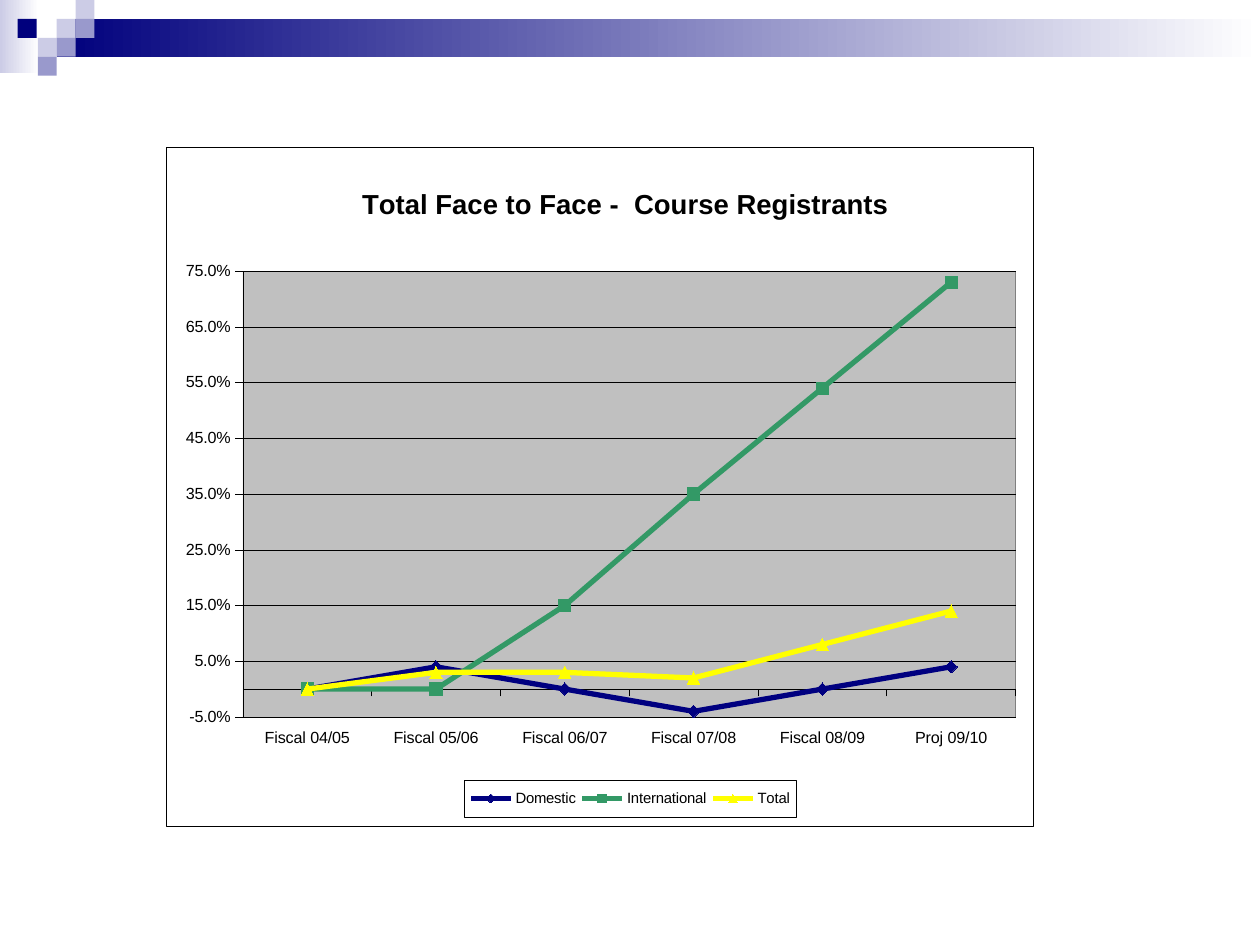
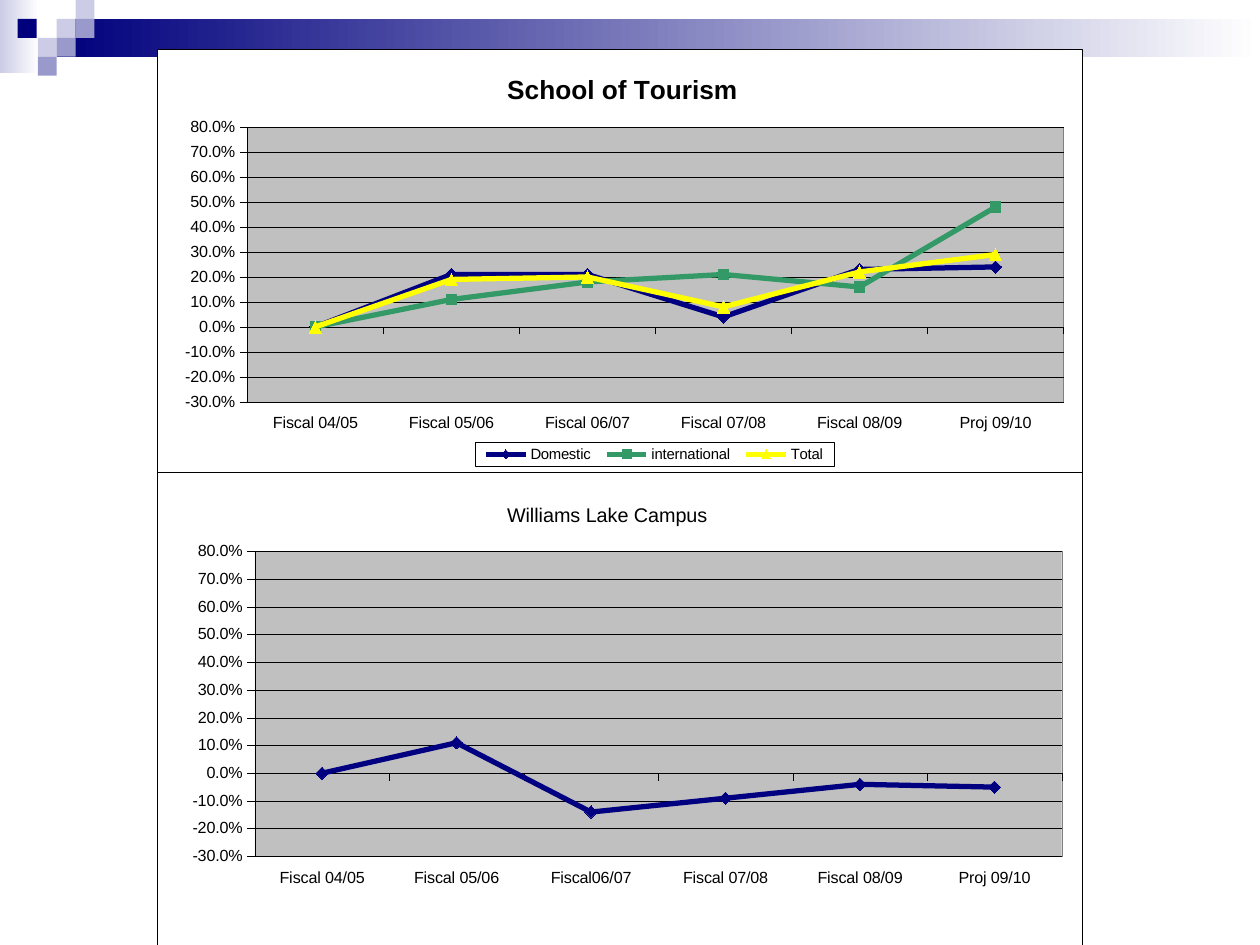
"""Build two slides of course registration line charts under a shared checkered banner."""
from dataclasses import dataclass
from typing import Optional

import pptx
import pptx.chart.data
import pptx.dml.color
import pptx.enum.chart
import pptx.enum.shapes
import pptx.oxml
import pptx.oxml.ns
import pptx.util
from pptx.util import Inches

COLORS = {
    "navy": "00007D",
    "lavender": "CCCCE6",
    "periwinkle": "9999CC",
    "white": "FFFFFF",
    "black": "000000",
    "plot": "C0C0C0",
    "plot_border": "808080",
    "domestic": "000080",
    "international": "339966",
    "total": "FFFF00",
}
FONT = "Arial"
AXIS_SIZE = 9.2
LEGEND_SIZE = 8.5
HAIRLINE = 0.25
SERIES_WIDTH = 3
SQUARE = 0.15

MARKER = pptx.enum.chart.XL_MARKER_STYLE
SERIES_STYLES = (
    ("domestic", MARKER.DIAMOND),
    ("international", MARKER.SQUARE),
    ("total", MARKER.TRIANGLE),
)


@dataclass(frozen=True)
class Block:
    left: float
    top: float
    width: float
    height: float
    color: str
    fade_to: Optional[str] = None


@dataclass(frozen=True)
class Series:
    name: str
    values: tuple[float, ...]
    marker_size: int = 7


@dataclass(frozen=True)
class LineChart:
    title: str
    title_size: float
    title_bold: bool
    title_place: tuple[float, float]
    box: tuple[float, float, float, float]
    plot_place: tuple[float, float, float, float]
    minimum: float
    maximum: float
    categories: tuple[str, ...]
    series: tuple[Series, ...]
    legend_place: Optional[tuple[float, float, float, float]] = None


BANNER = (
    Block(0, 0, 0.31, 0.58, "lavender", "white"),
    Block(0.45, 0.15, 9.55, 0.3, "navy", "white"),
) + tuple(
    Block(left, top, SQUARE, SQUARE, color)
    for left, top, color in (
        (0.45, 0.15, "lavender"),
        (0.6, 0, "lavender"),
        (0.6, 0.15, "periwinkle"),
        (0.3, 0.3, "lavender"),
        (0.14, 0.15, "navy"),
        (0.45, 0.3, "periwinkle"),
        (0.3, 0.45, "periwinkle"),
    )
)

YEARS = ("Fiscal 04/05", "Fiscal 05/06", "Fiscal 06/07",
         "Fiscal 07/08", "Fiscal 08/09", "Proj 09/10")

REGISTRANTS = LineChart(
    title="Total Face to Face -  Course Registrants",
    title_size=15.7,
    title_bold=True,
    title_place=(0.22, 0.05),
    box=(1.32, 1.17, 6.88, 5.39),
    plot_place=(0.088, 0.182, 0.892, 0.657),
    minimum=-0.05,
    maximum=0.75,
    categories=YEARS,
    series=(
        Series("Domestic", (0, 0.04, 0, -0.04, 0, 0.04)),
        Series("International", (0, 0, 0.15, 0.35, 0.54, 0.73)),
        Series("Total", (0, 0.03, 0.03, 0.02, 0.08, 0.14)),
    ),
    legend_place=(0.344, 0.932, 0.383, 0.054),
)

TOURISM = LineChart(
    title="School of Tourism",
    title_size=15,
    title_bold=True,
    title_place=(0.373, 0.045),
    box=(1.25, 0.39, 7.34, 3.36),
    plot_place=(0.097, 0.184, 0.883, 0.65),
    minimum=-0.3,
    maximum=0.8,
    categories=YEARS,
    series=(
        Series("Domestic", (0, 0.21, 0.21, 0.04, 0.23, 0.24)),
        Series("international", (0, 0.11, 0.18, 0.21, 0.16, 0.48), 6),
        Series("Total", (0, 0.19, 0.2, 0.08, 0.22, 0.29)),
    ),
    legend_place=(0.343, 0.929, 0.389, 0.057),
)

WILLIAMS_LAKE = LineChart(
    title="Williams Lake Campus",
    title_size=11.3,
    title_bold=False,
    title_place=(0.374, 0.055),
    box=(1.25, 3.75, 7.34, 3.75),
    plot_place=(0.105, 0.167, 0.873, 0.646),
    minimum=-0.3,
    maximum=0.8,
    categories=YEARS[:2] + ("Fiscal06/07",) + YEARS[3:],
    series=(Series("Series 1", (0, 0.11, -0.14, -0.09, -0.04, -0.05)),),
)

SLIDES = ((REGISTRANTS,), (TOURISM, WILLIAMS_LAKE))


def rgb(name: str) -> pptx.dml.color.RGBColor:
    return pptx.dml.color.RGBColor.from_string(COLORS[name])


def set_font(font, size: float, bold: bool = False) -> None:
    font.name = FONT
    font.size = pptx.util.Pt(size)
    font.bold = bold
    font.color.rgb = rgb("black")


def set_line(line, color: str, width: float) -> None:
    line.color.rgb = rgb(color)
    line.width = pptx.util.Pt(width)


def add_block(slide, block: Block) -> None:
    shape = slide.shapes.add_shape(
        pptx.enum.shapes.MSO_SHAPE.RECTANGLE,
        *map(Inches, (block.left, block.top, block.width, block.height)))
    shape.shadow.inherit = False
    shape.line.fill.background()
    if block.fade_to is None:
        shape.fill.solid()
        shape.fill.fore_color.rgb = rgb(block.color)
        return
    shape.fill.gradient()
    shape.fill.gradient_angle = 0
    for stop, position, color in zip(
            shape.fill.gradient_stops, (0, 1), (block.color, block.fade_to)):
        stop.position = position
        stop.color.rgb = rgb(color)


def chart_xml(tag: str, content: str):
    return pptx.oxml.parse_xml(
        f'<c:{tag} {pptx.oxml.ns.nsdecls("c", "a")}>{content}</c:{tag}>')


def place_part(part, index: int, place: tuple[float, ...], inner: bool = False) -> None:
    for layout in part.xpath("c:layout"):
        part.remove(layout)
    target = '<c:layoutTarget val="inner"/>' if inner else ""
    modes = "".join(f'<c:{axis}Mode val="edge"/>' for axis in "xy")
    sizes = "".join(f'<c:{side} val="{value}"/>' for side, value in zip("xywh", place))
    part.insert(index, chart_xml(
        "layout", f"<c:manualLayout>{target}{modes}{sizes}</c:manualLayout>"))


def paint_after(sibling, fill: str, border: str) -> None:
    def solid(color: str) -> str:
        return f'<a:solidFill><a:srgbClr val="{COLORS[color]}"/></a:solidFill>'

    width = pptx.util.Pt(HAIRLINE)
    sibling.addnext(chart_xml(
        "spPr", f'{solid(fill)}<a:ln w="{width}">{solid(border)}</a:ln>'))


def format_axes(chart, data: LineChart) -> None:
    value_axis = chart.value_axis
    value_axis.minimum_scale = data.minimum
    value_axis.maximum_scale = data.maximum
    value_axis.major_unit = 0.1
    value_axis.has_major_gridlines = True
    set_line(value_axis.major_gridlines.format.line, "black", HAIRLINE)
    value_axis.tick_labels.number_format = "0.0%"
    value_axis.tick_labels.number_format_is_linked = False
    chart.category_axis.tick_label_position = pptx.enum.chart.XL_TICK_LABEL_POSITION.LOW
    for axis in (value_axis, chart.category_axis):
        axis.major_tick_mark = pptx.enum.chart.XL_TICK_MARK.OUTSIDE
        axis.minor_tick_mark = pptx.enum.chart.XL_TICK_MARK.NONE
        set_line(axis.format.line, "black", HAIRLINE)
        set_font(axis.tick_labels.font, AXIS_SIZE)


def format_series(chart, data: LineChart) -> None:
    chart.plots[0].vary_by_categories = False
    for series, entry, (color, marker) in zip(
            chart.plots[0].series, data.series, SERIES_STYLES):
        series.smooth = False
        set_line(series.format.line, color, SERIES_WIDTH)
        series.marker.style = marker
        series.marker.size = entry.marker_size
        series.marker.format.fill.solid()
        series.marker.format.fill.fore_color.rgb = rgb(color)
        set_line(series.marker.format.line, color, HAIRLINE)


def add_line_chart(slide, data: LineChart) -> None:
    chart_data = pptx.chart.data.CategoryChartData(number_format="0.0%")
    chart_data.categories = data.categories
    for entry in data.series:
        chart_data.add_series(entry.name, entry.values)
    chart = slide.shapes.add_chart(
        pptx.enum.chart.XL_CHART_TYPE.LINE_MARKERS,
        *map(Inches, data.box), chart_data).chart
    set_font(chart.font, AXIS_SIZE)
    format_axes(chart, data)
    format_series(chart, data)

    chart.has_title = True
    paragraph = chart.chart_title.text_frame.paragraphs[0]
    paragraph.text = data.title
    set_font(paragraph.font, data.title_size, data.title_bold)
    place_part(chart.element.xpath("c:chart/c:title")[0], 1, data.title_place)

    chart.has_legend = data.legend_place is not None
    if data.legend_place is not None:
        chart.legend.position = pptx.enum.chart.XL_LEGEND_POSITION.BOTTOM
        chart.legend.include_in_layout = False
        set_font(chart.legend.font, LEGEND_SIZE)
        legend = chart.element.xpath("c:chart/c:legend")[0]
        place_part(legend, 1, data.legend_place)
        paint_after(legend.xpath("c:overlay")[0], "white", "black")

    plot_area = chart.element.xpath("c:chart/c:plotArea")[0]
    place_part(plot_area, 0, data.plot_place, inner=True)
    paint_after(plot_area[-1], "plot", "plot_border")
    paint_after(chart.element.xpath("c:chart")[0], "white", "black")
    corners = chart_xml("roundedCorners", "")
    corners.set("val", "0")
    chart.element.xpath("c:date1904")[0].addnext(corners)


def main() -> None:
    presentation = pptx.Presentation()
    presentation.slide_width = Inches(10)
    presentation.slide_height = Inches(7.5)
    blank_layout = presentation.slide_layouts.get_by_name("Blank")
    for charts in SLIDES:
        slide = presentation.slides.add_slide(blank_layout)
        for block in BANNER:
            add_block(slide, block)
        for chart in charts:
            add_line_chart(slide, chart)
    presentation.save("out.pptx")


if __name__ == "__main__":
    main()
